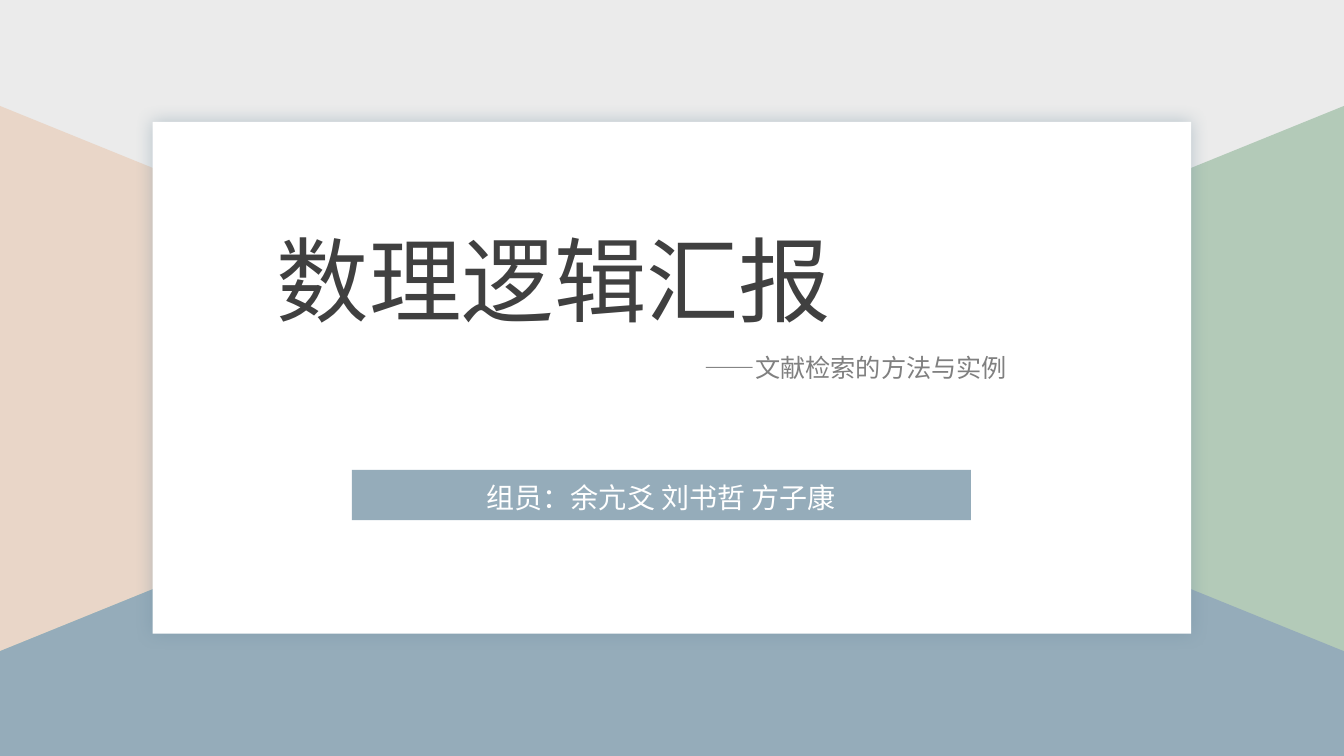
"""Build the title slide of a report on mathematical logic."""
from lxml.etree import SubElement as Sub
from pptx import Presentation
from pptx.dml.color import RGBColor
from pptx.enum.shapes import MSO_SHAPE as Shape
from pptx.enum.text import MSO_AUTO_SIZE as Auto, PP_ALIGN as Align
from pptx.oxml.ns import qn
from pptx.util import Cm, Pt

GRAY = RGBColor(0xEB, 0xEB, 0xEB)
PEACH = RGBColor(0xE9, 0xD6, 0xC8)
GREEN = RGBColor(0xB3, 0xCA, 0xB8)
BLUE = RGBColor(0x95, 0xAC, 0xBA)
SHADE = RGBColor(0x68, 0x88, 0x9C)
WHITE = RGBColor(0xFF, 0xFF, 0xFF)
DARK = RGBColor(0x40, 0x40, 0x40)
MID = RGBColor(0x80, 0x80, 0x80)
WIDE, HIGH = 33.87, 19.05
TOP, LOW = 2.67, 16.41


class Deck:
    """Hold the font and the current slide, and draw on it."""

    def __init__(self, font):
        self.font = font
        self.prs = Presentation()
        self.prs.slide_width, self.prs.slide_height = Cm(WIDE), Cm(HIGH)
        self.slide = self.prs.slides.add_slide(self.prs.slide_layouts[6])

    def paint(self, shape, color):
        shape.fill.solid()
        shape.fill.fore_color.rgb = color
        shape.line.fill.background()
        shape.shadow.inherit = False
        return shape

    def block(self, box, color, kind=Shape.RECTANGLE):
        shape = self.slide.shapes.add_shape(kind, *map(Cm, box))
        return self.paint(shape, color)

    def wedge(self, points, color):
        start, *rest = [(Cm(x), Cm(y)) for x, y in points]
        form = self.slide.shapes.build_freeform(*start)
        form.add_line_segments(rest, close=True)
        return self.paint(form.convert_to_shape(), color)

    def glow(self, shape, color, blur, alpha):
        effects = shape._element.spPr.find(qn("a:effectLst"))
        outer = Sub(effects, qn("a:outerShdw"), blurRad=str(Pt(blur)),
                    dist="0", algn="ctr", rotWithShape="0")
        tint = Sub(outer, qn("a:srgbClr"), val=str(color))
        Sub(tint, qn("a:alpha"), val=str(alpha * 1000))

    def text(self, box, words, size, color, align, space=None):
        frame = self.slide.shapes.add_textbox(*map(Cm, box)).text_frame
        frame.word_wrap = True
        frame.auto_size = Auto.SHAPE_TO_FIT_TEXT
        para = frame.paragraphs[0]
        para.text = words
        para.alignment = align
        para.line_spacing = space
        font = para.runs[0].font
        font.size, font.name = Pt(size), self.font
        font.color.rgb = color
        Sub(font._element, qn("a:ea"), typeface=self.font)


def main():
    deck = Deck("Noto Sans CJK SC")
    left, right = (0, HIGH), (WIDE, HIGH)
    deck.block((0, 0, WIDE, HIGH), GRAY)
    deck.wedge([(0, TOP), (WIDE, LOW), right, left], PEACH)
    deck.wedge([(WIDE, TOP), right, left, (0, LOW)], GREEN)
    deck.wedge([(WIDE / 2, (TOP + LOW) / 2), (WIDE, LOW), right, left,
                (0, LOW)], BLUE)

    card = deck.block((3.85, 3.07, 26.17, 12.9), WHITE)
    deck.glow(card, SHADE, 13, 40)
    deck.text((6.73, 5.51, 20.42, 3.07), "数理逻辑汇报", 66, DARK,
              Align.JUSTIFY)
    bar = deck.block((8.87, 11.84, 15.6, 1.27), BLUE,
                     Shape.ROUNDED_RECTANGLE)
    bar.adjustments[0] = 0
    deck.text((11.4, 11.99, 10.54, 1.12), "组员：余亢爻 刘书哲 方子康", 20,
              WHITE, Align.CENTER)
    deck.text((8.15, 8.59, 17.48, 1.17), "——文献检索的方法与实例", 18, MID,
              Align.RIGHT, 1.2)
    deck.prs.save("out.pptx")


if __name__ == "__main__":
    main()
